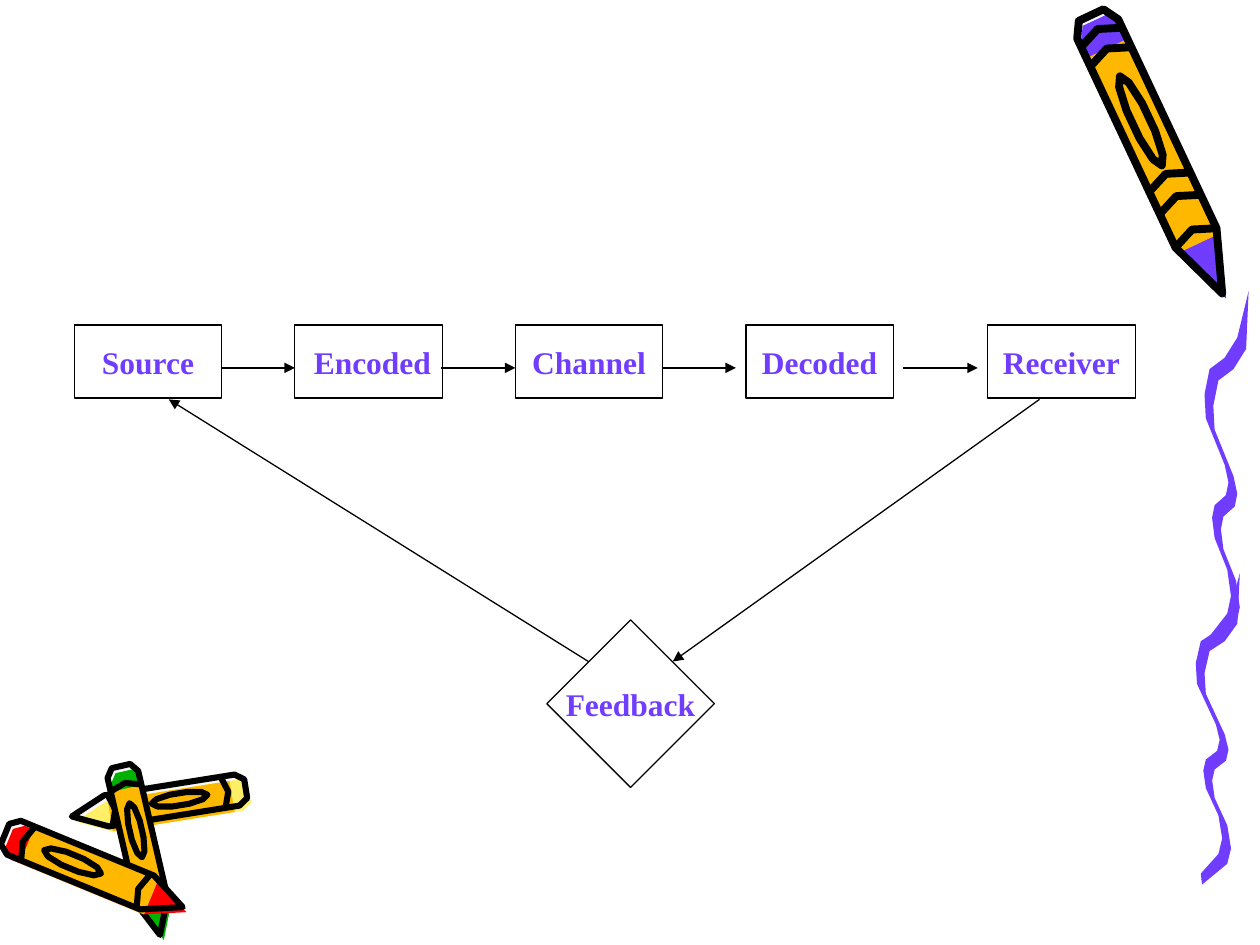
import math

from pptx import Presentation
from pptx import util as u
from pptx.dml.color import RGBColor
from pptx.enum import shapes, text
from pptx.oxml import parse_xml
from pptx.oxml.ns import nsdecls

PURPLE, ORANGE, BLACK = "703DFF", "FFB800", "000000"
RED, GREEN, YELLOW, PALE = "FF0000", "00B200", "FFEF66", "F8F8F8"

# Diagram: box names with left edges, arrows with start and end
BOXES = [("Source", 0.59), (" Encoded", 2.34), ("Channel", 4.09),
         ("Decoded", 5.92), ("Receiver", 7.84)]
BOX_TOP, BOX_WIDTH, BOX_HEIGHT = 2.58, 1.17, 0.58
FEEDBACK = ("Feedback", 4.34, 4.92, 1.33, 1.33)
STEP_STARTS, STEP_Y, STEP_LENGTH = [1.75, 3.5, 5.25, 7.17], 2.92, 0.59
FEEDBACK_ARROWS = [(8.25, 3.17, 5.34, 5.25), (4.67, 5.25, 1.34, 3.17)]
LABEL_FORMAT = {"name": "Times New Roman", "size": u.Pt(18), "bold": True}
FRAME_FORMAT = {"word_wrap": False, "vertical_anchor": text.MSO_ANCHOR.MIDDLE}

# Crayons, back to front: axis from cap to tip, in inches
SMALL_RINGS, LARGE_RINGS = [0.13, 0.78], [0.08, 0.15, 0.6, 0.68, 0.8]
CRAYONS = [
    {"cap": (1.95, 6.26), "tip": (0.57, 6.48), "width": 0.25, "colour": YELLOW,
     "rings": SMALL_RINGS, "ink": 3.5},
    {"cap": (0.96, 6.08), "tip": (1.27, 7.42), "width": 0.25, "colour": GREEN,
     "rings": SMALL_RINGS, "ink": 3.5},
    {"cap": (0.04, 6.62), "tip": (1.45, 7.2), "width": 0.29, "colour": RED,
     "rings": SMALL_RINGS, "ink": 3.5},
    {"cap": (8.66, 0.12), "tip": (9.7, 2.33), "width": 0.36, "colour": PURPLE,
     "rings": LARGE_RINGS, "ink": 4.5},
]
COLOUR_DRIFT = (0.03, 0.04)  # the colour is printed slightly off its ink

# Crayon parts: (share of the length, share of the width from the axis)
SILHOUETTE = [(0, -0.3), (0, 0.3), (0.05, 0.5), (0.8, 0.5),
              (1, 0), (0.8, -0.5), (0.05, -0.5)]
WRAPPER = [(0.1, -0.5), (0.1, 0.5), (0.8, 0.5), (0.8, -0.5)]
OVAL_CENTRE, OVAL_LENGTH, OVAL_WIDTH, OVAL_CORNERS = 0.38, 0.32, 0.4, 10
RING_BOW = 0.03

# Squiggle: upper edge of the ribbon, which slides to make the lower edge
RIBBON_EDGE = [(9.91, 2.31), (9.82, 2.68), (9.72, 2.84), (9.6, 2.93), (9.56, 3.13),
               (9.57, 3.32), (9.72, 3.69), (9.75, 3.83), (9.73, 3.93), (9.64, 4.01),
               (9.62, 4.11), (9.64, 4.27), (9.74, 4.52), (9.77, 4.73), (9.74, 4.87),
               (9.6, 5.05)]
RIBBON_SLIDE, RIBBON_END = (0.07, 0.09), (9.61, 5.15)
RIBBON_COPIES = [(-0.07, 4.55, 0.87), (0, 2.31, 1)]  # shift right, top, height scale


def paint(target, colour):
    """Give a fill, or a line's fill, one solid colour."""
    target.solid()
    target.fore_color.rgb = RGBColor.from_string(colour)


def draw_outline(parent, points, fill=None, ink=None, closed=True):
    """Draw a polygon or open stroke through points given in inches."""
    corners = [(u.Inches(x), u.Inches(y)) for x, y in points]
    builder = parent.build_freeform(*corners[0])
    builder.add_line_segments(corners[1:], close=closed)
    outline = builder.convert_to_shape()
    outline.shadow.inherit = False
    if fill:
        paint(outline.fill, fill)
    else:
        outline.fill.background()
    if ink:
        paint(outline.line.fill, BLACK)
        outline.line.width = u.Pt(ink)
    else:
        outline.line.fill.background()


def draw_crayon(parent, cap, tip, width, colour, rings, ink):
    length = math.dist(cap, tip)
    along_x, along_y = (tip[0] - cap[0]) / length, (tip[1] - cap[1]) / length

    def on_page(part, drift=(0, 0)):
        """Turn shares of length and width into page positions."""
        return [(cap[0] + along * length * along_x - across * width * along_y + drift[0],
                 cap[1] + along * length * along_y + across * width * along_x + drift[1])
                for along, across in part]

    # Pale base, then the colours
    draw_outline(parent, on_page(SILHOUETTE), fill=PALE)
    for part, shade in ((SILHOUETTE, colour), (WRAPPER, ORANGE)):
        draw_outline(parent, on_page(part, COLOUR_DRIFT), fill=shade)

    # Ink: outline, label oval, bowed rings
    angles = [2 * math.pi * step / OVAL_CORNERS for step in range(OVAL_CORNERS)]
    oval = [(OVAL_CENTRE + OVAL_LENGTH / 2 * math.cos(angle),
             OVAL_WIDTH / 2 * math.sin(angle)) for angle in angles]
    for part in (SILHOUETTE, oval):
        draw_outline(parent, on_page(part), ink=ink)
    for ring in rings:
        bow = [(ring, -0.5), (ring - RING_BOW, 0), (ring, 0.5)]
        draw_outline(parent, on_page(bow), ink=ink, closed=False)


def draw_squiggle(parent, shift, top, scale):
    slide_x, slide_y = RIBBON_SLIDE
    lower_edge = [(x + slide_x, y + slide_y) for x, y in RIBBON_EDGE[1:-1]]
    ribbon = RIBBON_EDGE + [RIBBON_END] + lower_edge[::-1]
    first_y = RIBBON_EDGE[0][1]
    draw_outline(parent, [(x + shift, top + (y - first_y) * scale) for x, y in ribbon],
                 fill=PURPLE)


def draw_arrow(page, ends):
    arrow = page.shapes.add_connector(shapes.MSO_CONNECTOR.STRAIGHT, *map(u.Inches, ends))
    paint(arrow.line.fill, BLACK)
    arrow.line.width = u.Pt(0.75)
    arrow.line._get_or_add_ln().append(
        parse_xml(f'<a:tailEnd {nsdecls("a")} type="triangle"/>'))
    arrow._element.spPr.append(parse_xml(f'<a:effectLst {nsdecls("a")}/>'))


def draw_box(page, kind, label, *place):
    box = page.shapes.add_shape(kind, *map(u.Inches, place))
    box.shadow.inherit = False
    box.fill.background()
    paint(box.line.fill, BLACK)
    box.line.width = u.Pt(0.75)
    for name, value in FRAME_FORMAT.items():
        setattr(box.text_frame, name, value)
    para = box.text_frame.paragraphs[0]
    para.alignment = text.PP_ALIGN.CENTER
    span = para.add_run()
    span.text = label
    for name, value in LABEL_FORMAT.items():
        setattr(span.font, name, value)
    paint(span.font.fill, PURPLE)


def main():
    deck = Presentation()
    deck.slide_width, deck.slide_height = u.Inches(10), u.Inches(7.5)
    page = deck.slides.add_slide(deck.slide_layouts[6])

    # Decorations
    for crayon in CRAYONS:
        draw_crayon(page.shapes.add_group_shape().shapes, **crayon)
    squiggle = page.shapes.add_group_shape()
    for copy in RIBBON_COPIES:
        draw_squiggle(squiggle.shapes, *copy)

    # Communication chain
    for label, left in BOXES:
        draw_box(page, shapes.MSO_SHAPE.RECTANGLE, label,
                 left, BOX_TOP, BOX_WIDTH, BOX_HEIGHT)
    for start in STEP_STARTS:
        draw_arrow(page, (start, STEP_Y, start + STEP_LENGTH, STEP_Y))

    # Feedback loop
    draw_box(page, shapes.MSO_SHAPE.DIAMOND, *FEEDBACK)
    for ends in FEEDBACK_ARROWS:
        draw_arrow(page, ends)

    deck.save("out.pptx")


if __name__ == "__main__":
    main()
